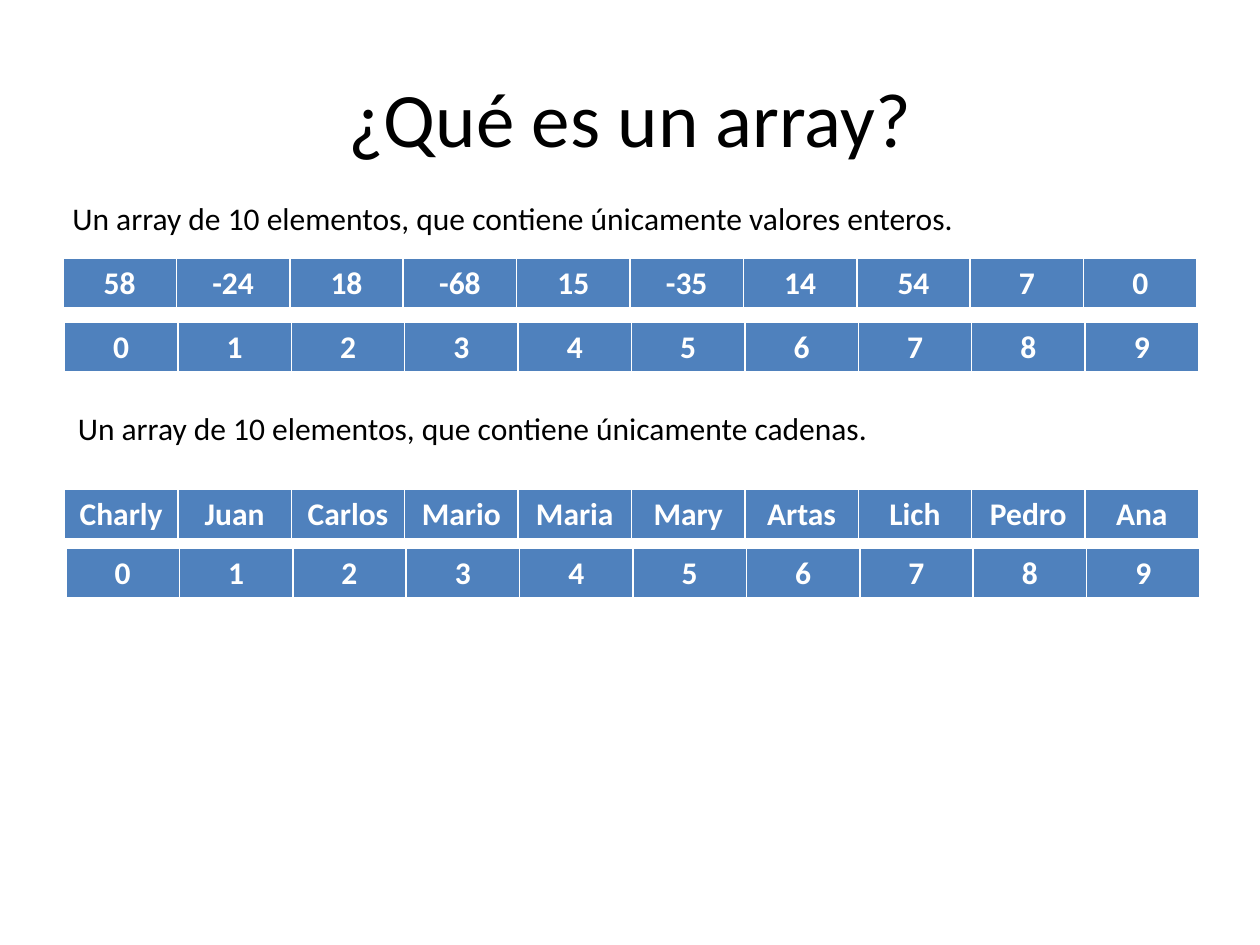
from dataclasses import dataclass

from lxml.etree import SubElement
from pptx import Presentation
from pptx.dml.color import RGBColor
from pptx.enum.text import MSO_ANCHOR, PP_ALIGN
from pptx.oxml.ns import qn
from pptx.util import Cm, Pt


@dataclass(frozen=True)
class Theme:
    """Colours, font and type sizes of the slide."""
    font: str = "Calibri"
    text: str = "000000"
    cell_text: str = "FFFFFF"
    cell_fill: str = "4F81BD"
    border: str = "FFFFFF"
    title_size: int = 44
    body_size: int = 18


def write(tf, text, *, font, size, color, bold=False, align=PP_ALIGN.LEFT):
    """Write one formatted paragraph into a text frame."""
    p = tf.paragraphs[0]
    p.alignment = align
    r = p.add_run()
    r.text = text
    r.font.name = font
    r.font.size = Pt(size)
    r.font.bold = bold
    r.font.color.rgb = RGBColor.from_string(color)


def set_borders(cell, color):
    """Draw thin side and top borders and a thick bottom border."""
    tc_pr = cell._tc.get_or_add_tcPr()
    for i, (side, width) in enumerate((("L", 1), ("R", 1), ("T", 1), ("B", 3))):
        ln = tc_pr.makeelement(qn(f"a:ln{side}"), {"w": str(Pt(width))})
        fill = SubElement(ln, qn("a:solidFill"))
        SubElement(fill, qn("a:srgbClr"), val=color)
        tc_pr.insert(i, ln)


class SlideBuilder:
    """Add styled elements to one slide."""

    def __init__(self, slide, theme):
        """Keep the slide and its theme."""
        self.s = slide
        self.theme = theme

    def text(self, text, left, top, width, height, *, size, anchor=MSO_ANCHOR.TOP, align=PP_ALIGN.LEFT):
        """Add a wrapped text box."""
        sp = self.s.shapes.add_textbox(Cm(left), Cm(top), Cm(width), Cm(height))
        tf = sp.text_frame
        tf.word_wrap = True
        tf.vertical_anchor = anchor
        write(tf, text, font=self.theme.font, size=size, color=self.theme.text, align=align)

    def title(self, text):
        """Add the centred slide title."""
        self.text(text, 1.27, 0.76, 22.86, 3.18, size=self.theme.title_size,
                  anchor=MSO_ANCHOR.MIDDLE, align=PP_ALIGN.CENTER)

    def caption(self, text, left, top):
        """Add a line that describes an array."""
        self.text(text, left, top, 22, 1.02, size=self.theme.body_size)

    def array(self, values, left, top, width=22.86, height=1.03):
        """Add a one-row table with equal columns."""
        table = self.s.shapes.add_table(1, len(values), Cm(left), Cm(top), Cm(width), Cm(height)).table
        for cell, value in zip(table.iter_cells(), values):
            cell.fill.solid()
            cell.fill.fore_color.rgb = RGBColor.from_string(self.theme.cell_fill)
            set_borders(cell, self.theme.border)
            write(cell.text_frame, str(value), font=self.theme.font, size=self.theme.body_size,
                  color=self.theme.cell_text, bold=True, align=PP_ALIGN.CENTER)


def main():
    """Build the slide and save it."""
    prs = Presentation()
    prs.slide_width, prs.slide_height = Cm(25.4), Cm(19.05)
    slide = SlideBuilder(prs.slides.add_slide(prs.slide_layouts[6]), Theme())
    integers = [58, -24, 18, -68, 15, -35, 14, 54, 7, 0]
    names = ["Charly", "Juan", "Carlos", "Mario", "Maria", "Mary", "Artas", "Lich", "Pedro", "Ana"]

    slide.title("¿Qué es un array?")
    slide.caption("Un array de 10 elementos, que contiene únicamente valores enteros.", 1.21, 3.89)
    slide.array(integers, 1.27, 5.21)
    slide.array(range(len(integers)), 1.3, 6.5)
    slide.caption("Un array de 10 elementos, que contiene únicamente cadenas.", 1.32, 8.13)
    slide.array(names, 1.3, 9.86)
    slide.array(range(len(names)), 1.33, 11.05)
    prs.save("out.pptx")


main()
